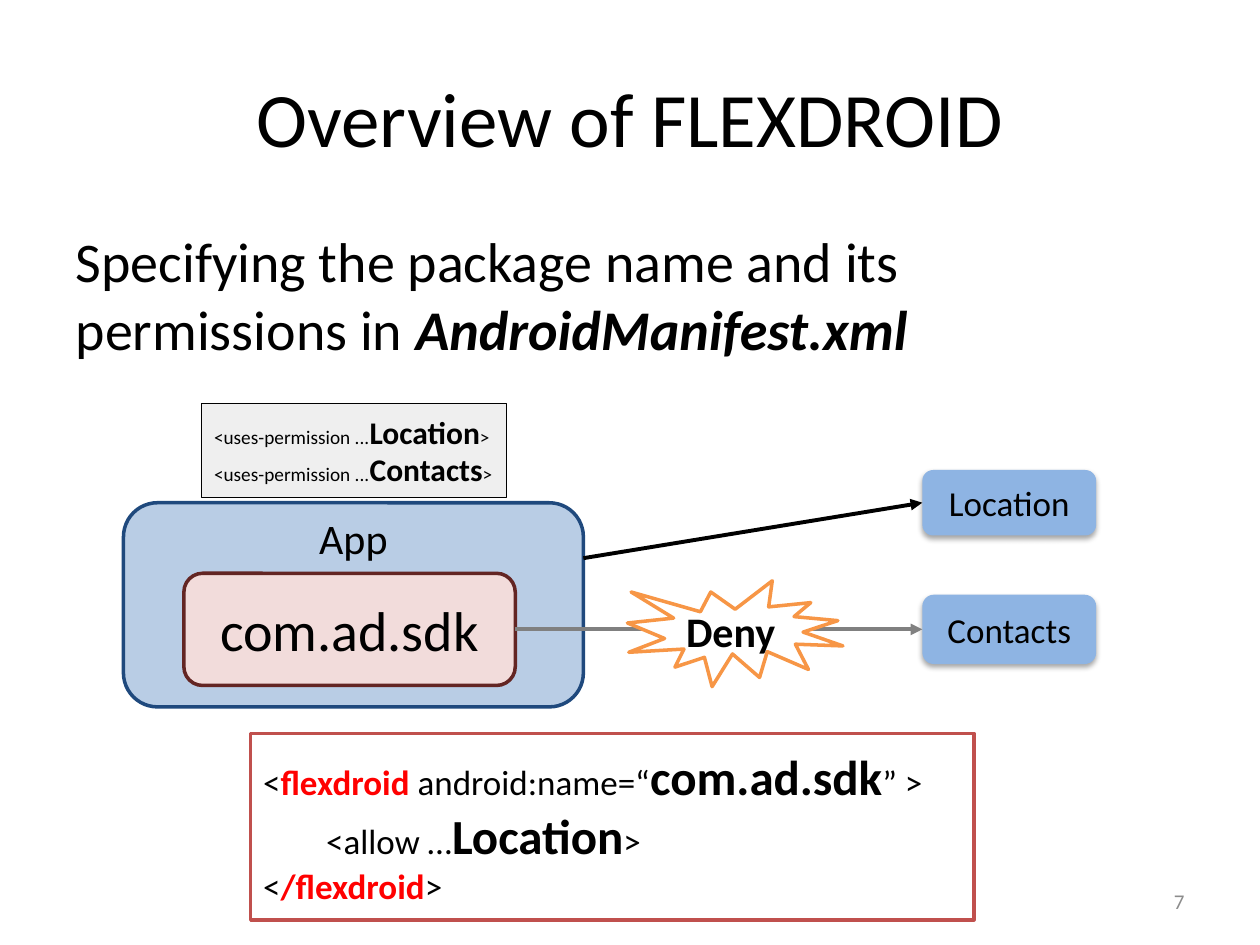
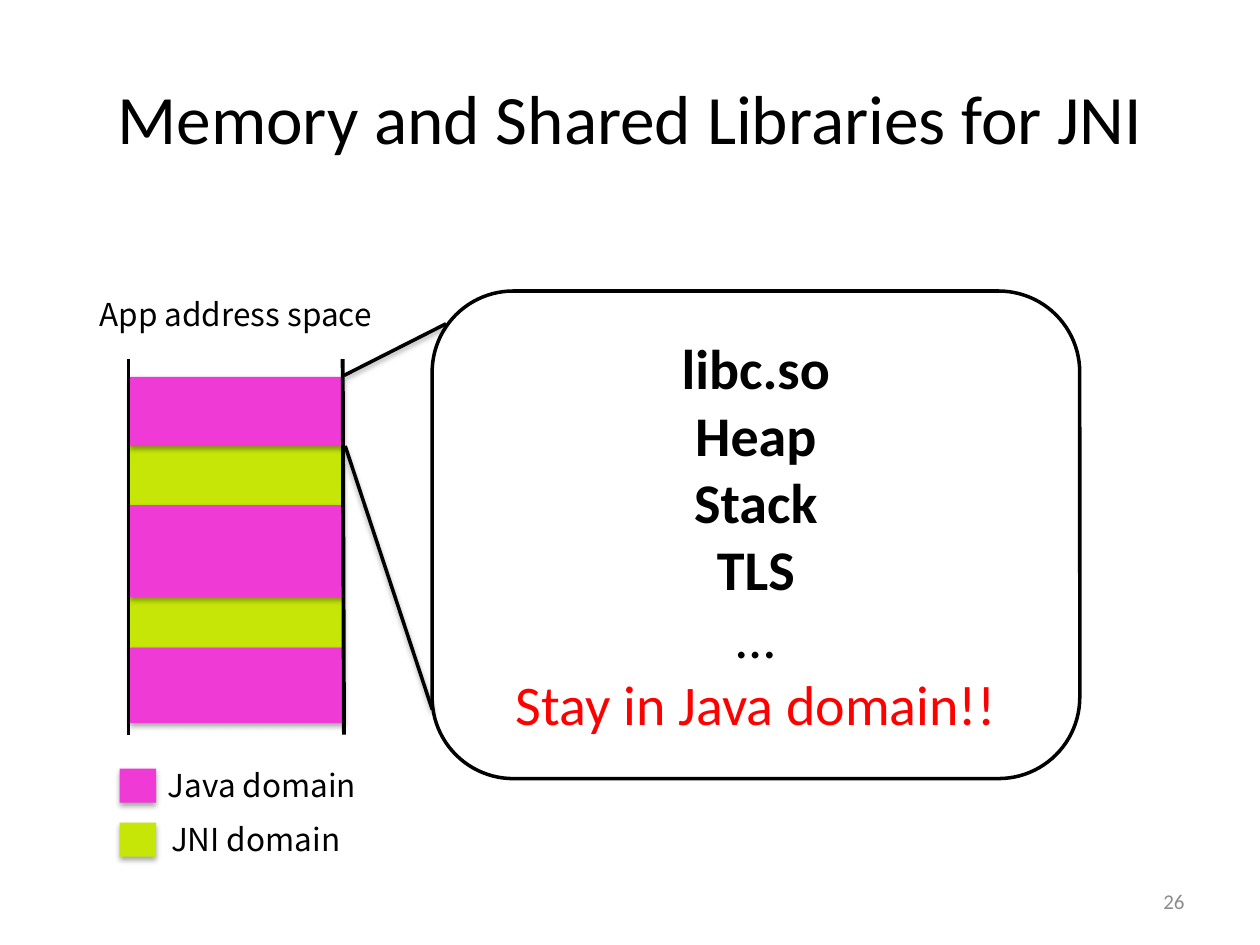
from lxml import etree
from pptx import Presentation
from pptx.dml.color import RGBColor
from pptx.enum.shapes import MSO_CONNECTOR, MSO_SHAPE
from pptx.enum.text import MSO_ANCHOR, PP_ALIGN
from pptx.oxml import parse_xml
from pptx.oxml.ns import nsdecls, qn
from pptx.util import Inches, Pt

rgb = RGBColor.from_string
BLACK, WHITE, RED, GRAY = "000000", "FFFFFF", "FF0000", "808080"
RESOURCE, JAVA, JNI = "8EB4E3", "F03AD6", "C6E608"
BODY_FONT, LABEL_FONT = "Calibri", "Noto Sans CJK KR"
LEFT, CENTER, RIGHT = PP_ALIGN.LEFT, PP_ALIGN.CENTER, PP_ALIGN.RIGHT
SHADOW = (
    f'<a:outerShdw {nsdecls("a")} blurRad="40000" dist="23000" dir="5400000" rotWithShape="0">'
    '<a:srgbClr val="000000"><a:alpha val="35000"/></a:srgbClr></a:outerShdw>'
)


def write(box, text, size=20, color=BLACK, bold=None, italic=None,
          font=BODY_FONT, align=LEFT, same_line=False):
    frame = box.text_frame
    frame.word_wrap = True
    para = frame.paragraphs[-1]
    if para.runs and not same_line:
        para = frame.add_paragraph()
    para.alignment = align
    span = para.add_run()
    span.text = text
    span.font.name = font
    span.font.size = Pt(size)
    span.font.bold = bold
    span.font.italic = italic
    span.font.color.rgb = rgb(color)
    return para


def draw_box(page, kind, at, fill, line=None, width=2, shadow=False, inset=0.05):
    box = page.shapes.add_shape(kind, *map(Inches, at))
    box.fill.solid()
    box.fill.fore_color.rgb = rgb(fill)
    if line:
        box.line.color.rgb = rgb(line)
        box.line.width = Pt(width)
    else:
        box.line.fill.background()
    box.shadow.inherit = False
    if shadow:
        box._element.spPr.find(qn("a:effectLst")).append(parse_xml(SHADOW))
    box.text_frame.margin_top = box.text_frame.margin_bottom = Inches(inset)
    return box


deck = Presentation()
deck.slide_width, deck.slide_height = Inches(10), Inches(7.5)

pages = []
for layout, title, size, number in (
    (1, "Overview of FLEXDROID", 44, "7"),
    (5, "Memory and Shared Libraries for JNI", 39.6, "26"),
):
    page = deck.slides.add_slide(deck.slide_layouts[layout])
    heading = page.shapes.title
    heading.left, heading.top, heading.width, heading.height = map(Inches, (0.5, 0.3, 9, 1.25))
    write(heading, title, size=size, align=CENTER)
    footer = page.shapes.add_textbox(*map(Inches, (7.17, 6.95, 2.33, 0.4)))
    footer.text_frame.vertical_anchor = MSO_ANCHOR.MIDDLE
    write(footer, number, size=12, color="8C8C8C", align=RIGHT)
    pages.append(page)
overview, memory = pages

body = overview.placeholders[1]
body.left, body.top, body.width, body.height = map(Inches, (0.5, 1.75, 9, 4.95))
para = write(body, "Specifying the package name and its permissions in ", size=32)
write(body, "AndroidManifest.xml", size=32, bold=True, italic=True, same_line=True)
properties = para._p.get_or_add_pPr()
properties.set("marL", "0")
properties.set("indent", "0")
etree.SubElement(properties, qn("a:buNone"))

permissions = draw_box(overview, MSO_SHAPE.RECTANGLE, (1.6, 3.2, 2.42, 0.75),
                       "EFEFEF", BLACK, width=0.75, inset=0.1)
for name in ("Location", "Contacts"):
    write(permissions, "<uses-permission ...", size=11)
    write(permissions, name, size=18, bold=True, same_line=True)
    write(permissions, ">", size=11, same_line=True)

app = draw_box(overview, MSO_SHAPE.ROUNDED_RECTANGLE, (0.98, 3.99, 3.65, 1.62),
               "B9CDE5", "1F497D", inset=0)
app.text_frame.vertical_anchor = MSO_ANCHOR.TOP
write(app, "App", size=24, align=CENTER)
sdk = draw_box(overview, MSO_SHAPE.ROUNDED_RECTANGLE, (1.46, 4.55, 2.63, 0.89),
               "F2DCDB", "632523")
write(sdk, "com.ad.sdk", size=32, align=CENTER)

resources = {}
for name, top, height in (("Location", 3.73, 0.52), ("Contacts", 4.72, 0.55)):
    resources[name] = draw_box(overview, MSO_SHAPE.ROUNDED_RECTANGLE,
                               (7.32, top, 1.38, height), RESOURCE, shadow=True)
    write(resources[name], name, align=CENTER)

manifest = draw_box(overview, MSO_SHAPE.RECTANGLE, (1.99, 5.82, 5.74, 1.48),
                    WHITE, "C0504D", inset=0.1)
write(manifest, "<")
write(manifest, "flexdroid ", color=RED, bold=True, same_line=True)
write(manifest, "android:name=“", same_line=True)
write(manifest, "com.ad.sdk", size=28, bold=True, same_line=True)
write(manifest, "” >", same_line=True)
para = write(manifest, "<allow …")
para._p.get_or_add_pPr().set("marL", str(Inches(0.5)))
write(manifest, "Location", size=28, bold=True, same_line=True)
write(manifest, ">", same_line=True)
write(manifest, "<")
write(manifest, "/flexdroid", color=RED, bold=True, same_line=True)
write(manifest, ">", same_line=True)

bands = []
top = 2.99
for domain, height in ((JAVA, 0.55), (JNI, 0.47), (JAVA, 0.73), (JNI, 0.4), (JAVA, 0.6)):
    bands.append((domain, top, height))
    top += height
for layer in (JNI, JAVA):
    for domain, top, height in bands:
        if domain == layer:
            draw_box(memory, MSO_SHAPE.RECTANGLE, (1.03, top, 1.7, height), domain, shadow=True)

for domain, top in ((JAVA, 6.1), (JNI, 6.53)):
    draw_box(memory, MSO_SHAPE.RECTANGLE, (0.95, top, 0.29, 0.27), domain, shadow=True)
for text, left, top in (
    ("App address space", 0.37, 2.29),
    ("Java domain", 0.58, 6.03),
    ("JNI domain", 0.53, 6.46),
):
    label = memory.shapes.add_textbox(*map(Inches, (left, top, 3, 0.4)))
    write(label, text, size=18, font=LABEL_FONT, align=CENTER)

contents = draw_box(memory, MSO_SHAPE.ROUNDED_RECTANGLE, (3.43, 2.31, 5.14, 3.87), WHITE, BLACK)
for text in ("libc.so", "Heap", "Stack", "TLS"):
    write(contents, text, size=32, bold=True, align=CENTER)
write(contents, "…", size=32, align=CENTER)
write(contents, "Stay in Java domain!!", size=32, color=RED, align=CENTER)

for page, ends, color, width, source, target, shadow in (
    (overview, (4.63, 4.43, 7.32, 3.99), BLACK, 2.25, None, resources["Location"], False),
    (overview, (4.09, 5, 7.32, 5), GRAY, 2.25, sdk, resources["Contacts"], False),
    (memory, (1.02, 2.85, 1.02, 5.83), BLACK, 2.25, None, None, False),
    (memory, (2.72, 2.85, 2.73, 5.83), BLACK, 2.25, None, None, False),
    (memory, (2.73, 2.98, 3.54, 2.57), BLACK, 2, None, None, True),
    (memory, (2.74, 3.54, 3.43, 5.63), BLACK, 2, None, None, True),
):
    link = page.shapes.add_connector(MSO_CONNECTOR.STRAIGHT, *map(Inches, ends))
    link.line.color.rgb = rgb(color)
    link.line.width = Pt(width)
    if source:
        link.begin_connect(source, 3)
    if target:
        link.end_connect(target, 1)
        etree.SubElement(link.line._get_or_add_ln(), qn("a:tailEnd"), type="triangle")
    effects = etree.SubElement(link._element.spPr, qn("a:effectLst"))
    if shadow:
        effects.append(parse_xml(SHADOW))

deny = draw_box(overview, MSO_SHAPE.EXPLOSION1, (4.98, 4.61, 1.71, 0.84),
                WHITE, "F79646", inset=0.1)
write(deny, "Deny", size=24, bold=True)

deck.save("out.pptx")
